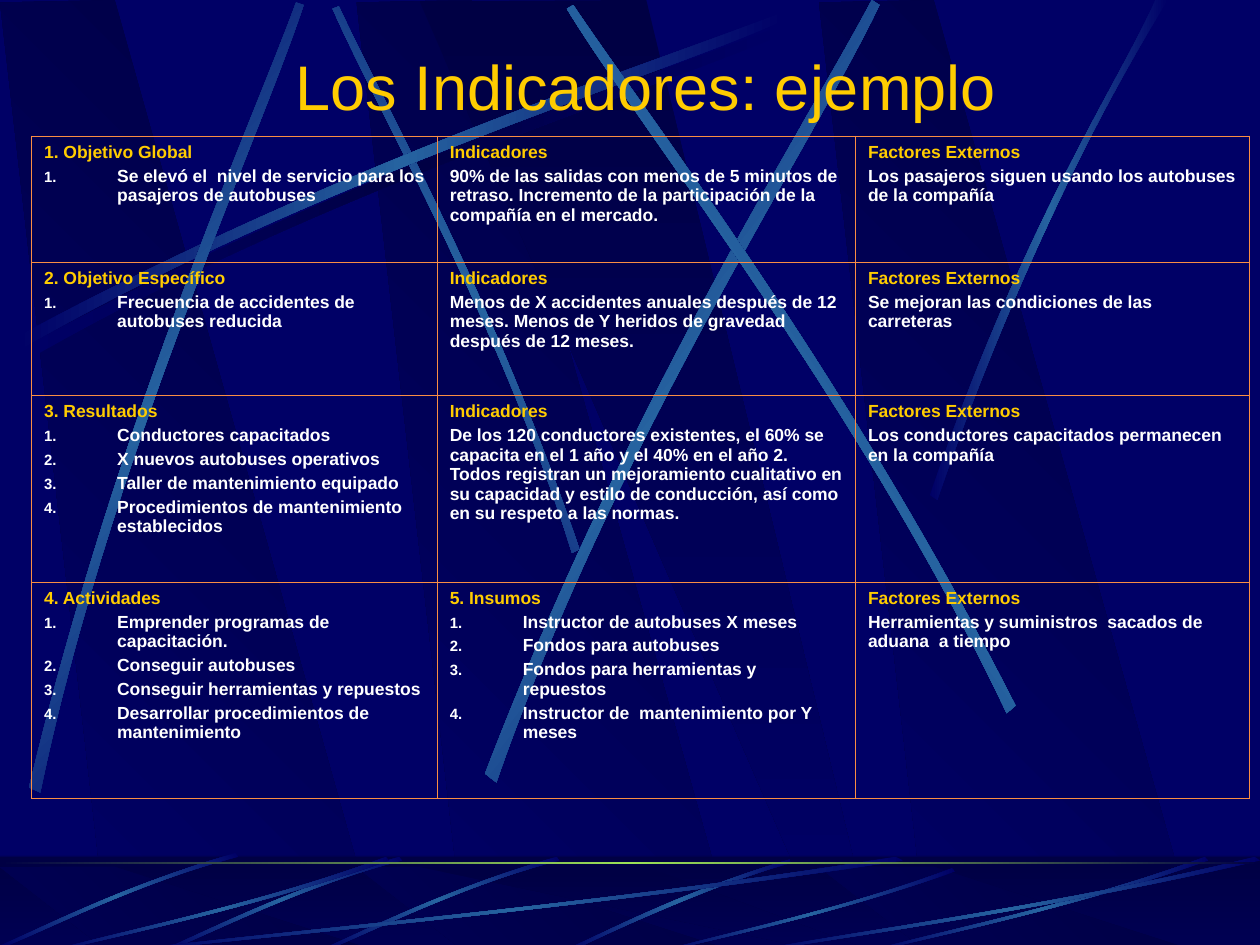
from lxml import etree
from pptx import Presentation
from pptx.dml.color import RGBColor
from pptx.enum.shapes import MSO_SHAPE
from pptx.enum.text import MSO_ANCHOR, PP_ALIGN
from pptx.oxml.ns import qn
from pptx.util import Inches, Pt

NAVY = RGBColor(0x00, 0x00, 0x66)
DARK = RGBColor(0x00, 0x00, 0x44)
BLUE = RGBColor(0x26, 0x63, 0xA0)
GREEN = RGBColor(0x9C, 0xE1, 0x57)
GOLD = RGBColor(0xFF, 0xCC, 0x00)
WHITE = RGBColor(0xFF, 0xFF, 0xFF)
ORANGE = RGBColor(0xF9, 0x8D, 0x43)
FADE, GLOW, SHADE = (DARK, NAVY), (NAVY, BLUE, NAVY), (NAVY, DARK, NAVY)


def write(paragraph, text, size=10, color=WHITE, bold=True, before=2.5, hanging=False, numbered=False):
    run = paragraph.add_run()
    run.text = text
    run.font.name = "Arial"
    run.font.size = Pt(size)
    run.font.bold = bold
    run.font.color.rgb = color
    paragraph.space_before = Pt(before)
    properties = paragraph._p.get_or_add_pPr()
    if hanging:
        properties.set("marL", str(Inches(0.58)))
        properties.set("indent", str(-Inches(0.58)))
    if numbered:
        bullet_color = etree.SubElement(properties, qn("a:buClr"))
        etree.SubElement(bullet_color, qn("a:srgbClr"), val=str(WHITE))
        etree.SubElement(properties, qn("a:buSzPct"), val="85000")
        etree.SubElement(properties, qn("a:buFont"), typeface="Arial")
        etree.SubElement(properties, qn("a:buAutoNum"), type="arabicPeriod")


def paint(shape, colors, angle):
    """One colour gives a half-transparent fill, several an even gradient (angle clockwise)."""
    shape.shadow.inherit = False
    shape.line.fill.background()
    if len(colors) == 1:
        shape.fill.solid()
        shape.fill.fore_color.rgb = colors[0]
        color = shape._element.spPr.find(".//" + qn("a:srgbClr"))
        etree.SubElement(color, qn("a:alpha"), val="50000")
        return
    shape.fill.gradient()
    shape.fill.gradient_angle = (360 - angle) % 360
    stops = shape._element.spPr.find(".//" + qn("a:gsLst"))
    for stop in list(stops):
        stops.remove(stop)
    for i, color in enumerate(colors):
        stop = etree.SubElement(stops, qn("a:gs"), pos=str(100000 * i // (len(colors) - 1)))
        etree.SubElement(stop, qn("a:srgbClr"), val=str(color))


prs = Presentation()
prs.slide_width, prs.slide_height = Inches(10), Inches(7.5)
slide = prs.slides.add_slide(prs.slide_layouts[5])
slide.background.fill.solid()
slide.background.fill.fore_color.rgb = NAVY

# Backdrop outlines: slanted panels (4 points) and streaks (two curves, 8 points)
panel = [(0.86, 7.5), (3.02, 7.52), (0.91, 0), (0, 0.02)]
panels = [([(x + dx, y) for x, y in panel], FADE, 135) for dx in (2.83, 0, 6.5)]
panels.append(([(3.33, 0.01), (6.58, 7.51), (6.94, 7.51), (5.13, 0)], FADE, 90))
low_panels = [([(x, 6.88 + 0.09 * y) for x, y in points], colors, angle)
              for points, colors, angle in panels]

long_streak = [(0.14, 2.67), (2.78, 1.25), (5.18, 0.51), (6.2, 0.1),
               (6.23, 0.16), (5.22, 0.61), (2.48, 1.43), (0.17, 2.77)]
streaks = [
    ([(x + 0.06, y + 0.08) for x, y in long_streak], SHADE, 180),
    ([(4.6, 4.36), (3.91, 2.34), (3.02, 0.77), (2.69, 0.05),
      (2.64, 0.07), (2.95, 0.79), (3.98, 2.58), (4.54, 4.39)], GLOW, 315),
    (long_streak, GLOW, 180),
    ([(0.23, 6.25), (0.93, 3.34), (1.97, 1.05), (2.35, 0.02),
      (2.41, 0.04), (2.07, 1.08), (0.86, 3.68), (0.32, 6.29)], GLOW, 48.3),
    ([(3.85, 6.14), (4.98, 3.2), (6.38, 1.02), (6.92, 0),
      (6.98, 0.04), (6.49, 1.08), (4.86, 3.55), (3.94, 6.21)], GLOW, 38.4),
    ([(8.06, 5.6), (6.7, 2.93), (5.16, 0.95), (4.55, 0.04),
      (4.5, 0.07), (5.07, 1.01), (6.85, 3.25), (7.99, 5.66)], GLOW, 325.2),
    ([(7.38, 3.93), (8.14, 1.73), (8.88, 0.66), (9.17, 0),
      (9.27, 0), (8.36, 1.45), (7.69, 3.22), (7.44, 3.97)], GLOW, 180),
]

low_streaks = [([(6.27, 6.82), (5.37, 7.09), (4.77, 7.42), (4.48, 7.54),
                 (4.53, 7.55), (4.9, 7.37), (5.71, 7), (6.28, 6.85)], GLOW, 180)]
short_streak = [(4.42, 6.8), (3.55, 7.05), (2.87, 7.4), (2.56, 7.53),
                (2.57, 7.55), (2.88, 7.43), (3.65, 7.03), (4.44, 6.83)]
for dx, dy in ((0, 0), (-1.25, 0), (-2.55, -0.03)):
    low_streaks.append(([(x + dx, y + dy) for x, y in short_streak], GLOW, 315))
sweep = [(1, 0.04), (0.57, 0.57), (0.17, 0.85), (0.01, 1),
         (0, 0.99), (0.17, 0.81), (0.61, 0.51), (0.99, 0)]
for left, top, width in ((1, 6.8, 6.17), (0.42, 6.8, 2.67), (5.27, 6.89, 2.31),
                         (6.92, 6.8, 2.67), (6, 6.8, 4)):
    low_streaks.append(([(left + width * x, top + (7.55 - top) * y) for x, y in sweep], GLOW, 180))

# Draw the backdrop from back to front; a (top, height) pair is a full-width band
backdrop = (panels + streaks + [((6.8, 0.75), FADE, 90)] + low_panels
            + [((6.79, 0.75), (DARK,), 0)] + low_streaks
            + [((6.84, 0.02), (DARK, GREEN, DARK), 180)])
for outline, colors, angle in backdrop:
    if len(outline) == 2:
        top, height = outline
        shape = slide.shapes.add_shape(MSO_SHAPE.RECTANGLE, 0, Inches(top), Inches(10), Inches(height))
    else:
        corners = [(Inches(x), Inches(y)) for x, y in outline]
        builder = slide.shapes.build_freeform(*corners[0])
        builder.add_line_segments(corners[1:], close=True)
        shape = builder.convert_to_shape()
        if len(outline) == 8:
            # Turn the long sides, three segments each, into Bézier curves
            segments = shape._element.spPr.findall(".//" + qn("a:lnTo"))
            for side in (segments[:3], segments[4:7]):
                curve = etree.Element(qn("a:cubicBezTo"))
                side[0].addprevious(curve)
                for segment in side:
                    curve.append(segment[0])
                    segment.getparent().remove(segment)
    paint(shape, colors, angle)

# Title, brought in front of the backdrop
title = slide.shapes.title
title.left, title.top, title.width, title.height = Inches(0.25), Inches(0.33), Inches(9.75), Inches(0.7)
title.text_frame.vertical_anchor = MSO_ANCHOR.TOP
heading = title.text_frame.paragraphs[0]
heading.alignment = PP_ALIGN.CENTER
write(heading, "Los Indicadores: ejemplo", size=36, color=GOLD, bold=False, before=0)
slide.shapes._spTree.append(title._element)

# Planning matrix: (heading, body); a list body is numbered
matrix = [
    [("1. Objetivo Global", ["Se elevó el  nivel de servicio para los pasajeros de autobuses"]),
     ("Indicadores", "90% de las salidas con menos de 5 minutos de retraso. Incremento de la "
                     "participación de la compañía en el mercado."),
     ("Factores Externos", "Los pasajeros siguen usando los autobuses de la compañía")],
    [("2. Objetivo Específico", ["Frecuencia de accidentes de autobuses reducida"]),
     ("Indicadores", "Menos de X accidentes anuales después de 12 meses. Menos de Y heridos de "
                     "gravedad después de 12 meses."),
     ("Factores Externos", "Se mejoran las condiciones de las carreteras")],
    [("3. Resultados", ["Conductores capacitados", "X nuevos autobuses operativos",
                        "Taller de mantenimiento equipado",
                        "Procedimientos de mantenimiento establecidos"]),
     ("Indicadores", "De los 120 conductores existentes, el 60% se capacita en el 1 año y el 40% en "
                     "el año 2. Todos registran un mejoramiento cualitativo en su capacidad y estilo "
                     "de conducción, así como en su respeto a las normas."),
     ("Factores Externos", "Los conductores capacitados permanecen en la compañía")],
    [("4. Actividades", ["Emprender programas de capacitación.", "Conseguir autobuses",
                         "Conseguir herramientas y repuestos",
                         "Desarrollar procedimientos de mantenimiento"]),
     ("5. Insumos", ["Instructor de autobuses X meses", "Fondos para autobuses",
                     "Fondos para herramientas y repuestos",
                     "Instructor de  mantenimiento por Y meses"]),
     ("Factores Externos", "Herramientas y suministros  sacados de aduana  a tiempo")],
]
table = slide.shapes.add_table(4, 3, Inches(0.25), Inches(1.08), Inches(9.67), Inches(5.26)).table
table.first_row = table.horz_banding = False
for column, width in zip(table.columns, (3.22, 3.32, 3.13)):
    column.width = Inches(width)
for row, height in zip(table.rows, (1, 1.06, 1.48, 1.72)):
    row.height = Inches(height)

for r, entries in enumerate(matrix):
    for c, (caption, body) in enumerate(entries):
        cell = table.cell(r, c)
        numbered = isinstance(body, list)
        write(cell.text_frame.paragraphs[0], caption, color=GOLD, hanging=numbered)
        for item in body if numbered else [body]:
            write(cell.text_frame.add_paragraph(), item, hanging=numbered, numbered=numbered)
        # Thin borders on every side, then no fill
        cell_properties = cell._tc.get_or_add_tcPr()
        for side in ("a:lnL", "a:lnR", "a:lnT", "a:lnB"):
            border = etree.SubElement(cell_properties, qn(side), w=str(Pt(0.45)))
            border_fill = etree.SubElement(border, qn("a:solidFill"))
            etree.SubElement(border_fill, qn("a:srgbClr"), val=str(ORANGE))
        cell.fill.background()

prs.save("out.pptx")
